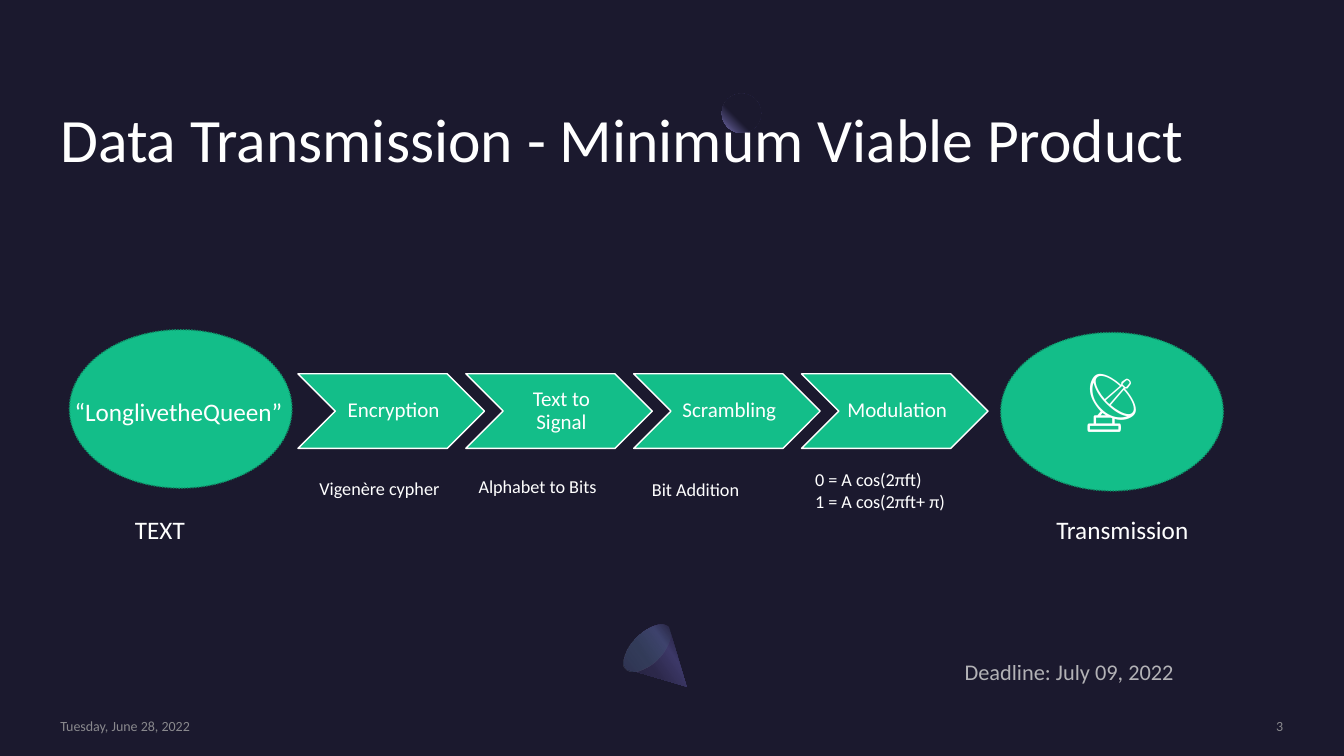
import math

from lxml import etree
from pptx import Presentation
from pptx.dml.color import RGBColor
from pptx.enum.dml import MSO_LINE
from pptx.enum.shapes import MSO_SHAPE
from pptx.enum.text import MSO_ANCHOR, PP_ALIGN
from pptx.oxml import parse_xml
from pptx.oxml.ns import nsdecls, qn
from pptx.util import Cm, Pt

OVAL, CHEVRON = MSO_SHAPE.OVAL, MSO_SHAPE.CHEVRON
DOTTED = MSO_LINE.ROUND_DOT
TOP, MIDDLE, BOTTOM = MSO_ANCHOR.TOP, MSO_ANCHOR.MIDDLE, MSO_ANCHOR.BOTTOM
LEFT, CENTER, RIGHT = PP_ALIGN.LEFT, PP_ALIGN.CENTER, PP_ALIGN.RIGHT

THEME = {
    "font": "Calibri",
    "background": "1B192E", "text": "FFFFFF", "green": "13BE89", "rim": "0E8D65",
    "footer": "A6A6A6", "deadline": "D9D9D9",
    "title_pt": 44, "icon_pt": 44, "label_pt": 18, "deadline_pt": 16,
    "step_pt": 15, "note_pt": 13, "footer_pt": 10,
    # gradient stops: position %, colour, opacity %
    "sphere": [(60, "1B192E", 100), (100, "7771B2", 100)],
    "cone": [(30, "2C284A", 100), (40, "3C3867", 100), (60, "2C284A", 100), (100, "1B192E", 100)],
    "cone_base": [(0, "454075", 33), (100, "5BEFC1", 0)],
}

# Boxes are left, top, width, height in centimetres.
TITLE = ("Data Transmission - Minimum Viable Product", (1.52, 1.52, 31.72, 2.92))
STEPS = ["Encryption", "Text to Signal", "Scrambling", "Modulation"]
STEP_BOX, STEP_PITCH = (7.51, 9.42, 4.7, 1.88), 4.23
NOTES = [
    ("Vigenère cypher", (7.8, 11.91, 3.73, 0.81)),
    ("Alphabet to Bits", (11.81, 11.86, 3.58, 0.81)),
    ("Bit Addition", (16.18, 11.94, 2.84, 0.81)),
    ("0 = A cos(2πft)\n1 = A cos(2πft+ π)", (20.29, 11.68, 4.11, 1.37)),
]
SOURCE_BOX, SINK_BOX = (1.75, 8.31, 5.61, 3.99), (25.22, 8.38, 5.61, 3.99)
SINK_ICON = "📡"
LABELS = [
    ("“LonglivetheQueen”", (1.63, 9.86, 5.77, 1.02)),
    ("TEXT", (3.15, 12.83, 2.13, 1.02)),
    ("Transmission", (26.37, 12.83, 3.91, 1.02)),
]
DEADLINE = ("Deadline: July 09, 2022", (24.31, 15.32, 6.68, 3.23))
FOOTERS = [
    ("Tuesday, June 28, 2022", (1.52, 18.08, 7.32, 0.43), LEFT),
    ("3", (27.64, 18.08, 4.7, 0.43), RIGHT),
]
SPHERE_BOX = (18.19, 2.36, 0.99, 0.99)
CONE_CENTER, CONE_TILT = 16.68, 135
CONE_RADIUS, CONE_HALF_HEIGHT, CONE_RIM_DEPTH = 0.75, 0.88, 0.38
CONE_BASE_BOX, CONE_BASE_TILT = (15.93, 15.57, 0.76, 1.5), 225


def color(name):
    return RGBColor.from_string(THEME[name])


def lengths(box):
    return [Cm(v) for v in box]


def write(sp, text, size, ink="text", align=LEFT, anchor=TOP, insets=None,
          spacing=None, bold=False, opacity=None):
    tf = sp.text_frame
    tf.word_wrap = True
    tf.vertical_anchor = anchor
    if insets:
        tf.margin_left, tf.margin_top, tf.margin_right, tf.margin_bottom = lengths(insets)
    tf.text = text
    for p in tf.paragraphs:
        p.alignment = align
        if spacing:
            p.line_spacing = spacing
        for r in p.runs:
            r.font.name = THEME["font"]
            r.font.size = Pt(THEME[size])
            r.font.bold = bold
            r.font.color.rgb = color(ink)
            if opacity:
                clr = r.font._element.find(".//" + qn("a:srgbClr"))
                etree.SubElement(clr, qn("a:alpha")).set("val", str(opacity * 1000))


def add_text(shapes, text, box, size, **style):
    write(shapes.add_textbox(*lengths(box)), text, size, **style)


def add_filled(shapes, kind, box, line, dash=None):
    sp = shapes.add_shape(kind, *lengths(box))
    sp.shadow.inherit = False
    sp.fill.solid()
    sp.fill.fore_color.rgb = color("green")
    sp.line.color.rgb = color(line)
    sp.line.width = Pt(1)
    if dash:
        sp.line.dash_style = dash
    return sp


def paint_gradient(sp, stops, direction):
    """Replace the fill by a gradient; direction is its a:lin or a:path element."""
    sp.shadow.inherit = False
    sp.line.fill.background()
    sp.fill.background()
    gs = "".join(
        f'<a:gs pos="{pos * 1000}"><a:srgbClr val="{rgb}"><a:alpha val="{alpha * 1000}"/>'
        f'</a:srgbClr></a:gs>' for pos, rgb, alpha in THEME[stops])
    grad = parse_xml(f'<a:gradFill {nsdecls("a")} rotWithShape="1"><a:gsLst>{gs}</a:gsLst>'
                     f'{direction}</a:gradFill>')
    sp_pr = sp._element.spPr
    sp_pr.replace(sp_pr.find(qn("a:noFill")), grad)


def linear(degrees):
    return f'<a:lin ang="{degrees * 60000}" scaled="0"/>'


def add_ornaments(shapes):
    sphere = shapes.add_shape(OVAL, *lengths(SPHERE_BOX))
    paint_gradient(sphere, "sphere",
                   '<a:path path="circle"><a:fillToRect l="100000" b="100000"/></a:path>')

    rim_y = CONE_CENTER + CONE_HALF_HEIGHT - CONE_RIM_DEPTH
    rim = [(Cm(CONE_CENTER + CONE_RADIUS * math.cos(math.radians(a))),
            Cm(rim_y + CONE_RIM_DEPTH * math.sin(math.radians(a)))) for a in range(0, 181, 10)]
    outline = shapes.build_freeform(Cm(CONE_CENTER), Cm(CONE_CENTER - CONE_HALF_HEIGHT))
    outline.add_line_segments(rim)
    cone = outline.convert_to_shape()
    cone.rotation = CONE_TILT
    paint_gradient(cone, "cone", linear(10))

    base = shapes.add_shape(OVAL, *lengths(CONE_BASE_BOX))
    base.rotation = CONE_BASE_TILT
    paint_gradient(base, "cone_base", linear(90))


def main():
    prs = Presentation()
    prs.slide_width, prs.slide_height = Cm(33.87), Cm(19.05)
    s = prs.slides.add_slide(prs.slide_layouts[6])
    s.background.fill.solid()
    s.background.fill.fore_color.rgb = color("background")
    shapes = s.shapes
    flush = (0, 0, 0, 0)

    add_ornaments(shapes)
    add_filled(shapes, OVAL, SOURCE_BOX, "rim", DOTTED)
    add_text(shapes, *TITLE, "title_pt", anchor=BOTTOM, insets=flush, spacing=0.9)

    left, top, width, height = STEP_BOX
    for i, step in enumerate(STEPS):
        sp = add_filled(shapes, CHEVRON, (left + i * STEP_PITCH, top, width, height), "text")
        write(sp, step, "step_pt", align=CENTER, anchor=MIDDLE,
              insets=(0.17, 0.05, 0.05, 0.05), spacing=0.9)

    for text, box, align in FOOTERS:
        add_text(shapes, text, box, "footer_pt", ink="footer", align=align,
                 anchor=MIDDLE, insets=flush, opacity=80)
    add_text(shapes, *DEADLINE, "deadline_pt", ink="deadline",
             anchor=MIDDLE, insets=flush, opacity=80)

    sink = add_filled(shapes, OVAL, SINK_BOX, "rim", DOTTED)
    write(sink, SINK_ICON, "icon_pt", align=CENTER, anchor=MIDDLE,
          insets=(0.25, 0.13, 0.25, 0.9), bold=True)
    for text, box in NOTES:
        add_text(shapes, text, box, "note_pt")
    for text, box in LABELS:
        add_text(shapes, text, box, "label_pt")

    prs.save("out.pptx")


if __name__ == "__main__":
    main()
